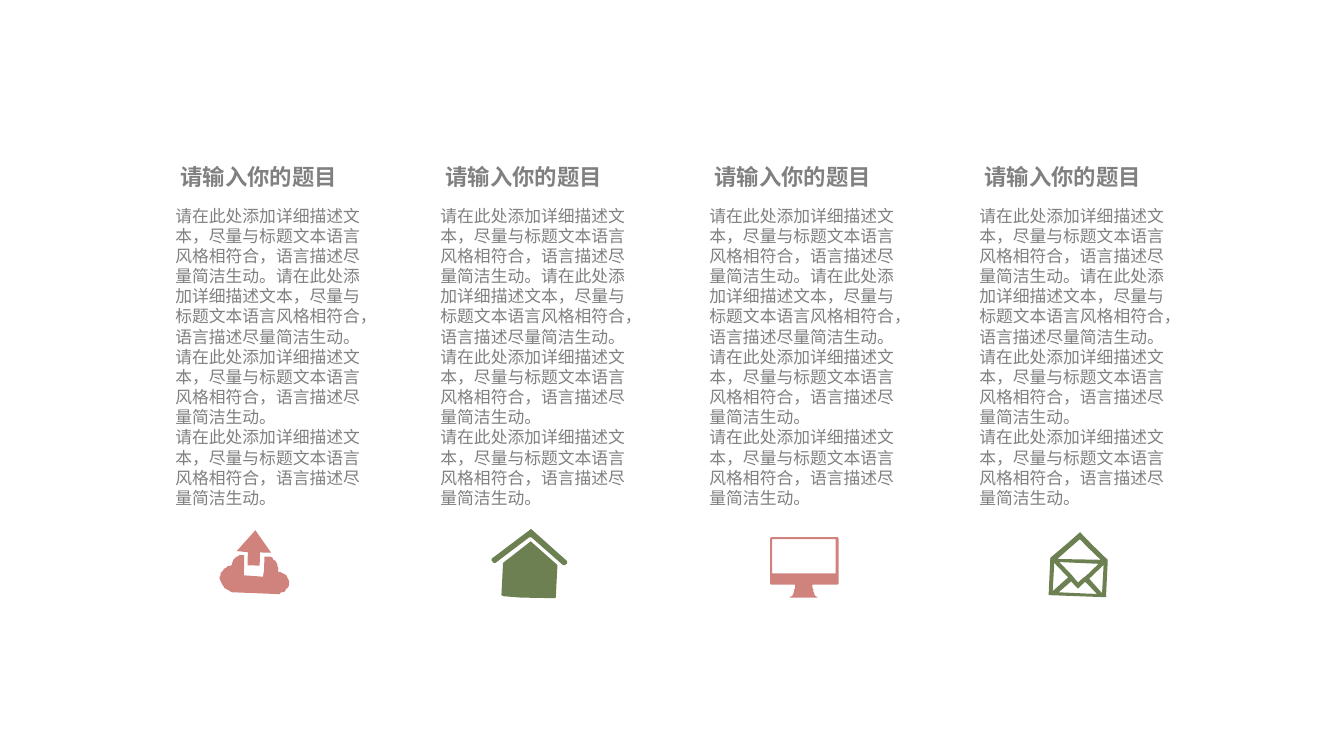
from lxml import etree
from pptx import Presentation
from pptx.dml.color import RGBColor
from pptx.enum.text import MSO_AUTO_SIZE
from pptx.oxml.ns import qn
from pptx.util import Cm, Pt

FIT = MSO_AUTO_SIZE.SHAPE_TO_FIT_TEXT
FONT = "Noto Sans CJK SC"
COLORS = {"text": "808080", "pink": "D0827D", "green": "6C8052"}

TITLE = "请输入你的题目"
SENTENCE = "请在此处添加详细描述文本，尽量与标题文本语言风格相符合，语言描述尽量简洁生动。"
BODY = [SENTENCE * 2, SENTENCE, SENTENCE]

# Outlines on a grid of GRID steps: a pair is a corner,
# six numbers are a Bezier curve (two controls, then its end).
GRID = Cm(0.0254)
TILT = 1.1
CLOUD = [[(276, 567), (276, 565), (276, 560, 273, 555, 268, 552), (262, 552),
          (262, 565), (261, 572), (242, 571), (242, 551), (237, 551),
          (233, 553, 230, 556, 230, 560), (230, 561),
          (224, 562, 219, 567, 218, 573), (218, 578, 222, 584, 227, 586),
          (230, 588), (278, 589), (278, 588), (283, 587, 287, 583, 287, 578),
          (287, 572, 282, 567, 276, 567)]]
UPLOAD_ARROW = [[(246, 561), (258, 561), (258, 548), (269, 548), (253, 526),
                 (235, 547), (246, 548)]]
ROOF = [[(526, 525), (525, 526), (488, 555), (488, 557), (490, 559), (492, 559),
         (525, 533), (527, 533), (559, 560), (561, 560), (563, 558), (563, 556),
         (528, 526), (527, 525)]]
HOUSE = [[(526, 537), (499, 559), (498, 591), (500, 592), (517, 593), (551, 593),
          (552, 592), (553, 560)]]
MONITOR = [[(831, 533), (765, 533), (764, 534), (764, 579), (765, 580), (789, 580),
            (789, 581, 788, 589, 786, 591), (785, 592, 784, 592, 784, 593),
            (811, 593), (811, 592, 810, 592, 809, 591),
            (807, 589, 806, 581, 806, 580), (831, 580), (832, 579), (832, 534)],
           [(829, 569), (766, 569), (766, 535), (829, 535)]]
ENVELOPE = [[(1099, 556), (1099, 555), (1083, 540), (1071, 528), (1059, 539),
             (1042, 554), (1041, 591), (1098, 592)],
            [(1094, 588), (1081, 574), (1095, 560)],
            [(1051, 588), (1063, 577), (1070, 584), (1077, 577), (1089, 589)],
            [(1074, 574), (1070, 578), (1063, 570), (1051, 558), (1090, 559),
             (1078, 571)],
            [(1046, 559), (1060, 573), (1045, 587)],
            [(1062, 543), (1071, 535), (1079, 543), (1092, 555), (1049, 555)]]

# left edge of the column in cm, icon colour, icon tilt, icon parts
COLUMNS = [
    (4.17, "pink", TILT, [CLOUD, UPLOAD_ARROW]),
    (10.85, "green", TILT, [ROOF, HOUSE]),
    (17.63, "pink", 0, [MONITOR]),
    (24.43, "green", TILT, [ENVELOPE]),
]
TITLE_SHIFT = 0.13


def flatten(contour, steps=8):
    """Turn the curves of a contour into short straight steps."""
    points = [contour[0]]
    for seg in contour[1:]:
        if len(seg) == 2:
            points.append(seg)
            continue
        ctrl = [points[-1], seg[:2], seg[2:4], seg[4:]]
        for i in range(1, steps + 1):
            t = i / steps
            weights = ((1 - t) ** 3, 3 * t * (1 - t) ** 2, 3 * t * t * (1 - t), t ** 3)
            points.append(tuple(sum(w * c[axis] for w, c in zip(weights, ctrl))
                                for axis in (0, 1)))
    return points


def add_outline(s, contours, color, tilt):
    first, *holes = [flatten(c) for c in contours]
    builder = s.shapes.build_freeform(*first[0], scale=GRID)
    builder.add_line_segments(first[1:], close=True)
    for hole in holes:
        builder.move_to(*hole[0])
        builder.add_line_segments(hole[1:], close=True)
    sp = builder.convert_to_shape()
    sp.rotation = tilt
    sp.shadow.inherit = False
    sp.fill.solid()
    sp.fill.fore_color.rgb = RGBColor.from_string(COLORS[color])
    sp.line.fill.background()


def add_text(s, box, paragraphs, size, bold=False, wrap=True):
    tf = s.shapes.add_textbox(*map(Cm, box)).text_frame
    tf.word_wrap = wrap
    tf.auto_size = FIT
    for i, text in enumerate(paragraphs):
        p = tf.add_paragraph() if i else tf.paragraphs[0]
        r = p.add_run()
        r.text = text
        r.font.size = Pt(size)
        r.font.bold = bold
        r.font.color.rgb = RGBColor.from_string(COLORS["text"])
        r.font.name = FONT
        etree.SubElement(r.font._element, qn("a:ea"), typeface=FONT)


def main():
    prs = Presentation()
    prs.slide_width, prs.slide_height = Cm(33.87), Cm(19.05)
    s = prs.slides.add_slide(prs.slide_layouts[6])
    for left, color, tilt, parts in COLUMNS:
        for contours in parts:
            add_outline(s, contours, color, tilt)
        add_text(s, (left + TITLE_SHIFT, 3.99, 4.5, 0.94), [TITLE], 16,
                 bold=True, wrap=False)
        add_text(s, (left, 5.05, 5.26, 8.46), BODY, 12)
    prs.save("out.pptx")


if __name__ == "__main__":
    main()
